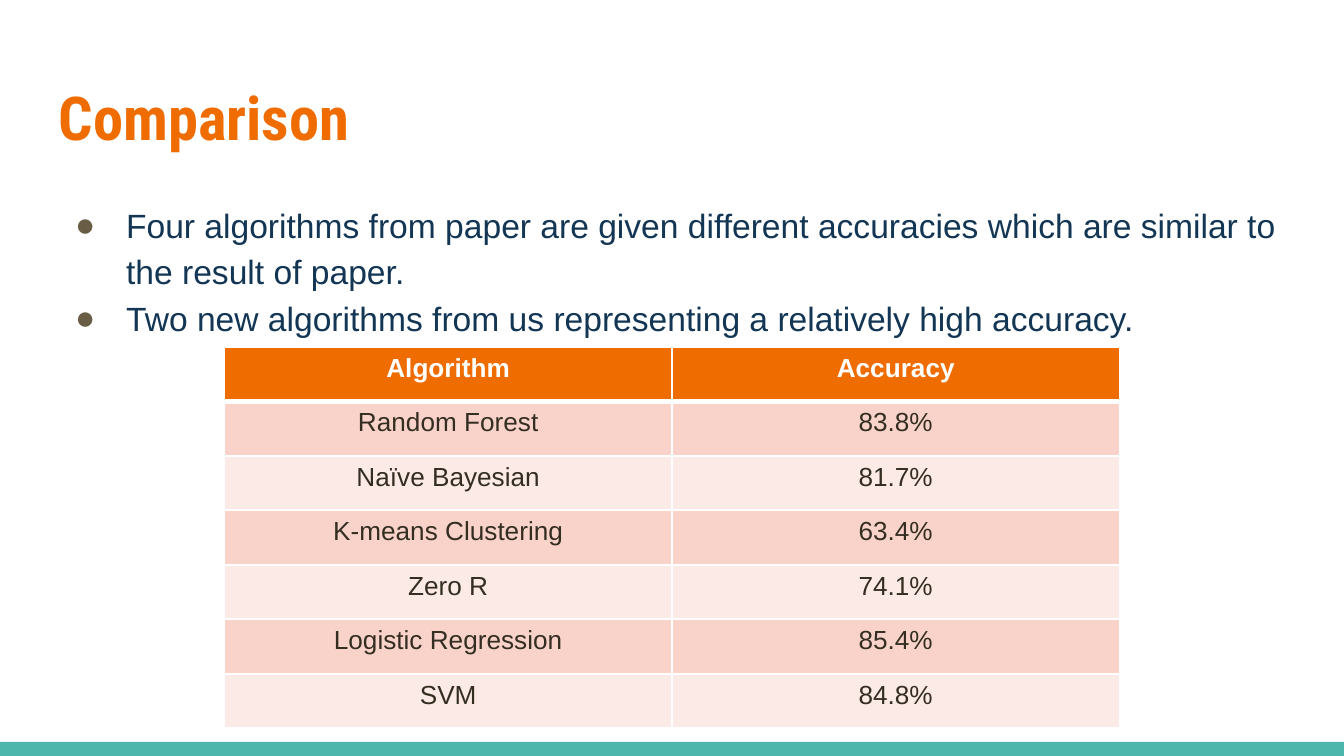
from dataclasses import dataclass

from lxml.etree import SubElement
from pptx import Presentation
from pptx.dml.color import RGBColor
from pptx.enum.shapes import MSO_SHAPE
from pptx.enum.text import MSO_ANCHOR, PP_ALIGN
from pptx.oxml.ns import qn
from pptx.util import Inches, Pt


@dataclass(frozen=True)
class Theme:
    orange: str = "EF6C00"
    teal: str = "4DB6AC"
    navy: str = "123654"
    brown: str = "695D46"
    dark: str = "342E22"
    white: str = "FFFFFF"
    bands: tuple = ("F9D3CA", "FCEAE6")
    title_font: str = "Roboto Condensed"
    body_font: str = "Arial"
    title_size: float = 32.4
    body_size: float = 18
    table_size: float = 14


THEME = Theme()

BULLETS = [
    "Four algorithms from paper are given different accuracies which are similar to the result of paper.",
    "Two new algorithms from us representing a relatively high accuracy.",
]
RESULTS = [
    ("Algorithm", "Accuracy"),
    ("Random Forest", "83.8%"),
    ("Naïve Bayesian", "81.7%"),
    ("K-means Clustering", "63.4%"),
    ("Zero R", "74.1%"),
    ("Logistic Regression", "85.4%"),
    ("SVM", "84.8%"),
]


def add_span(para, text, font, size, color, bold=False):
    span = para.add_run()
    span.text = text
    span.font.name = font
    span.font.size = Pt(size)
    span.font.bold = bold
    span.font.color.rgb = RGBColor.from_string(color)


def add_text_frame(page, box, anchor):
    left, top, width, height = map(Inches, box)
    frame = page.shapes.add_textbox(left, top, width, height).text_frame
    frame.word_wrap = True
    frame.vertical_anchor = anchor
    frame.margin_left = frame.margin_right = Inches(0.1)
    frame.margin_top = frame.margin_bottom = Inches(0.1)
    return frame


def add_footer_bar(page, box):
    left, top, width, height = map(Inches, box)
    bar = page.shapes.add_shape(MSO_SHAPE.RECTANGLE, left, top, width, height)
    bar.shadow.inherit = False
    bar.fill.solid()
    bar.fill.fore_color.rgb = RGBColor.from_string(THEME.teal)
    bar.line.fill.background()


def add_title(page, box, text):
    frame = add_text_frame(page, box, MSO_ANCHOR.MIDDLE)
    add_span(frame.paragraphs[0], text, THEME.title_font, THEME.title_size, THEME.orange, True)


def set_bullet(para):
    properties = para._p.get_or_add_pPr()
    properties.set("marL", str(Inches(0.5)))
    properties.set("indent", str(Inches(-0.38)))
    color = SubElement(properties, qn("a:buClr"))
    SubElement(color, qn("a:srgbClr"), val=THEME.brown)
    SubElement(properties, qn("a:buFont"), typeface=THEME.body_font)
    SubElement(properties, qn("a:buChar"), char="●")


def add_bullets(page, box, lines):
    frame = add_text_frame(page, box, MSO_ANCHOR.TOP)
    for index, line in enumerate(lines):
        para = frame.paragraphs[0] if index == 0 else frame.add_paragraph()
        para.line_spacing = 1.15
        set_bullet(para)
        add_span(para, line, THEME.body_font, THEME.body_size, THEME.navy)


def set_border(cell, side, points):
    line = SubElement(cell._tc.get_or_add_tcPr(), qn(f"a:{side}"), w=str(Pt(points)))
    fill = SubElement(line, qn("a:solidFill"))
    SubElement(fill, qn("a:srgbClr"), val=THEME.white)


def style_cell(cell, text, row):
    header = row == 0
    # Borders come before the fill in the cell properties
    for side in ("lnL", "lnR", "lnT", "lnB"):
        thick = (header and side == "lnB") or (row == 1 and side == "lnT")
        set_border(cell, side, 3 if thick else 1)
    cell.fill.solid()
    fill = THEME.orange if header else THEME.bands[(row - 1) % 2]
    cell.fill.fore_color.rgb = RGBColor.from_string(fill)
    para = cell.text_frame.paragraphs[0]
    para.alignment = PP_ALIGN.CENTER
    color = THEME.white if header else THEME.dark
    add_span(para, text, THEME.body_font, THEME.table_size, color, header)


def add_results_table(page, box, rows):
    left, top, width, height = map(Inches, box)
    table = page.shapes.add_table(len(rows), len(rows[0]), left, top, width, height).table
    for row, values in enumerate(rows):
        for column, text in enumerate(values):
            style_cell(table.cell(row, column), text, row)


def build_comparison_page(deck):
    page = deck.slides.add_slide(deck.slide_layouts[6])
    # Footer and heading
    add_footer_bar(page, (0, 5.52, 10, 0.11))
    add_title(page, (0.34, 0.48, 9.32, 0.77), "Comparison")
    # Results and the remarks above them
    add_results_table(page, (1.67, 2.58, 6.66, 2.84), RESULTS)
    add_bullets(page, (0.34, 1.38, 9.32, 3.61), BULLETS)


def main():
    deck = Presentation()
    # Widescreen, 16 to 9
    deck.slide_width = Inches(10)
    deck.slide_height = deck.slide_width * 9 // 16
    build_comparison_page(deck)
    deck.save("out.pptx")


if __name__ == "__main__":
    main()
